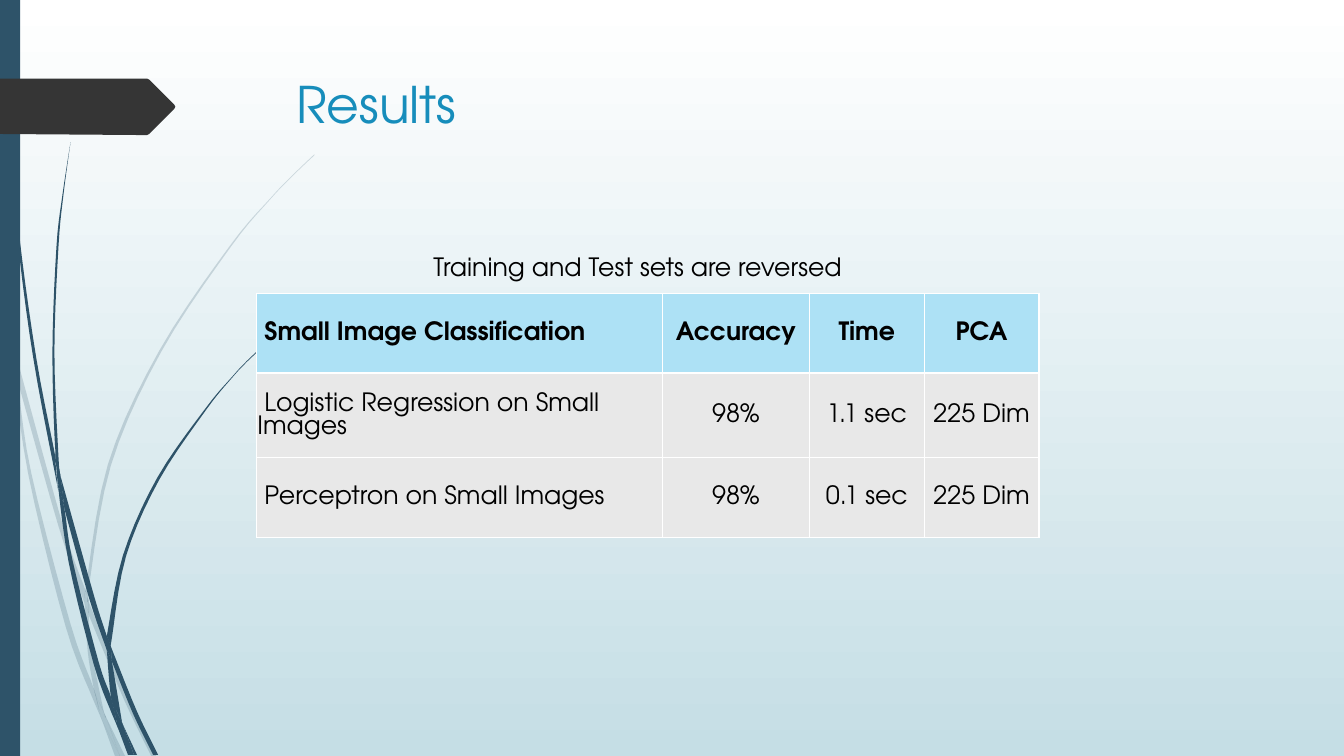
from lxml.etree import SubElement
from pptx import Presentation
from pptx.dml.color import RGBColor
from pptx.enum.shapes import MSO_SHAPE
from pptx.enum.text import MSO_ANCHOR, PP_ALIGN
from pptx.oxml.ns import qn
from pptx.util import Pt

FONT = "TeX Gyre Adventor"
NAVY = "2E5369"
UNIT = 0.72
STEPS = 5

FAINT_BLADES = [
    ("11,350 9,322 0,282", "0,299 10,344"),
    ("14,345 62,520 85,586", "84,599 58,522 17,376"),
    ("88,596 92,607 127,692 155,750", "150,750 123,694 88,610"),
    ("105,711 124,750", "119,750"),
    ("11,350 17,376 31,469 70,619 93,683 99,707 101,714", "92,693 65,621 28,470 11,350"),
    ("84,599 88,608 88,610 91,646 103,706 105,711", "96,692 93,683 87,646 84,599"),
    ("88,596 88,584 110,462 160,349 229,245 268,198 290,175 312,154",
     "312,153 289,175 268,197 228,244 158,348 107,461 85,584 85,586"),
    ("101,714 119,750", "114,750"),
    ("85,586 88,596 88,610", "88,608 84,599"),
    ("93,683 96,692 105,711 119,750", "101,714 99,707 93,683"),
]
BOLD_BLADES = [
    ("3,0 4,48 7,110 17,233 33,355 56,477 57,481",
     "55,457 55,453 36,355 19,232 8,109 5,48 4,0"),
    ("60,472 93,590 106,631 106,633 106,645", "106,645 88,592 64,505"),
    ("110,641 113,649 136,706 157,749", "152,749 132,708 111,656"),
    ("57,477 64,505 72,556 98,657 110,691 116,717 117,722", "111,708 93,659 68,557 57,477"),
    ("70,141 62,193 56,245 52,349 55,449 60,472", "60,472 58,453 54,349 58,245 63,193 70,141"),
    ("122,719 136,749", "133,749"),
    ("55,449 60,472 64,505", "57,477 55,453"),
    ("106,631 122,551 156,474 204,405 231,373 245,358 260,344",
     "261,344 245,359 231,374 205,406 158,476 125,552 111,633 110,641"),
    ("117,722 131,749", "127,749"),
    ("106,645 109,651 111,656 121,716 122,719", "116,706 110,691 106,645"),
    ("106,631 110,641 111,656", "109,651 106,645"),
    ("110,691 116,706 122,719 133,749", "130,749 117,722 116,717"),
]
TAG = "0,78 146,78 148,79 173,104 174,106 173,108 148,133 146,134 136,134 0,133"
RESULTS = [
    ["Small Image Classification", "Accuracy", "Time", "PCA"],
    ["Logistic Regression on Small Images", "98%", "1.1 sec", "225 Dim"],
    ["Perceptron on Small Images", "98%", "0.1 sec", "225 Dim"],
]


def rgb(value):
    return RGBColor.from_string(value)


def points(text):
    return [tuple(float(v) for v in pair.split(",")) for pair in text.split()]


def smooth(nodes):
    padded = [nodes[0], *nodes, nodes[-1]]
    curve = [nodes[0]]
    for a, b, c, d in zip(padded, padded[1:], padded[2:], padded[3:]):
        for step in range(1, STEPS + 1):
            t = step / STEPS
            curve.append(tuple(
                (2 * q + (r - p) * t + (2 * p - 5 * q + 4 * r - u) * t ** 2
                 + (3 * q - p - 3 * r + u) * t ** 3) / 2
                for p, q, r, u in zip(a, b, c, d)))
    return curve


def paint(sp, color, opacity=100):
    sp.shadow.inherit = False
    sp.fill.solid()
    sp.fill.fore_color.rgb = rgb(color)
    sp.line.fill.background()
    if opacity < 100:
        clr = sp.fill._xPr.find(".//" + qn("a:srgbClr"))
        SubElement(clr, qn("a:alpha"), val=str(opacity * 1000))


def add_outline(s, nodes, color, opacity=100):
    corners = [(Pt(x * UNIT), Pt(y * UNIT)) for x, y in nodes]
    builder = s.shapes.build_freeform(*corners[0])
    builder.add_line_segments(corners[1:], close=True)
    paint(builder.convert_to_shape(), color, opacity)


def add_blades(s, blades, opacity):
    for out, back in blades:
        add_outline(s, smooth(points(out)) + smooth(points(back)), NAVY, opacity)


def add_run(p, text, size, color, bold=False):
    r = p.add_run()
    r.text = text
    r.font.name = FONT
    r.font.size = Pt(size)
    r.font.bold = bold
    r.font.color.rgb = rgb(color)


def add_text(s, box, text, size, color, wrap):
    tf = s.shapes.add_textbox(*map(Pt, box)).text_frame
    tf.word_wrap = wrap
    add_run(tf.paragraphs[0], text, size, color)


def add_borders(cell, color):
    tc_pr = cell._tc.get_or_add_tcPr()
    for side in ("lnL", "lnR", "lnT", "lnB"):
        ln = SubElement(tc_pr, qn("a:" + side), w=str(Pt(1)))
        SubElement(SubElement(ln, qn("a:solidFill")), qn("a:srgbClr"), val=color)


def fill_cell(cell, text, header, first):
    add_borders(cell, "FFFFFF")
    cell.fill.solid()
    cell.fill.fore_color.rgb = rgb("ADE1F5" if header else "E8E8E8")
    cell.vertical_anchor = MSO_ANCHOR.MIDDLE
    cell.margin_left = cell.margin_right = cell.margin_top = Pt(0.7)
    cell.margin_bottom = Pt(0)
    p = cell.text_frame.paragraphs[0]
    p.line_spacing = Pt(16.5)
    p.alignment = PP_ALIGN.LEFT if first else PP_ALIGN.CENTER
    if first:
        p._p.get_or_add_pPr().set("indent", str(Pt(5)))
    add_run(p, text, 18, "000000", header)


def add_results(s, left, top, widths, heights):
    frame = s.shapes.add_table(len(heights), len(widths), Pt(left), Pt(top),
                               Pt(sum(widths)), Pt(sum(heights)))
    table = frame.table
    for column, width in zip(table.columns, widths):
        column.width = Pt(width)
    for row, height in zip(table.rows, heights):
        row.height = Pt(height)
    for i, values in enumerate(RESULTS):
        for j, text in enumerate(values):
            fill_cell(table.cell(i, j), text, i == 0, j == 0)


def add_background(s, top, bottom):
    fill = s.background.fill
    fill.gradient()
    fill.gradient_angle = 270
    for stop, color, position in zip(fill.gradient_stops, (top, bottom), (0, 1)):
        stop.color.rgb = rgb(color)
        stop.position = position


def main():
    prs = Presentation()
    prs.slide_width, prs.slide_height = Pt(960), Pt(540)
    s = prs.slides.add_slide(prs.slide_layouts[6])
    add_background(s, "FFFFFF", "C5DEE5")
    add_blades(s, FAINT_BLADES, 20)
    add_blades(s, BOLD_BLADES, 100)
    bar = s.shapes.add_shape(MSO_SHAPE.RECTANGLE, Pt(0), Pt(0), Pt(14.4), Pt(540))
    paint(bar, NAVY)
    add_outline(s, points(TAG), "353535")
    add_text(s, (204.5, 49, 702, 100.8), "Results", 36, "178DBB", True)
    add_results(s, 183.2, 209.5, (290, 105, 82, 82), (57, 60.5, 57))
    add_text(s, (302.4, 175.7, 314, 51), "Training and Test sets are reversed",
             18, "000000", False)
    prs.save("out.pptx")


if __name__ == "__main__":
    main()
